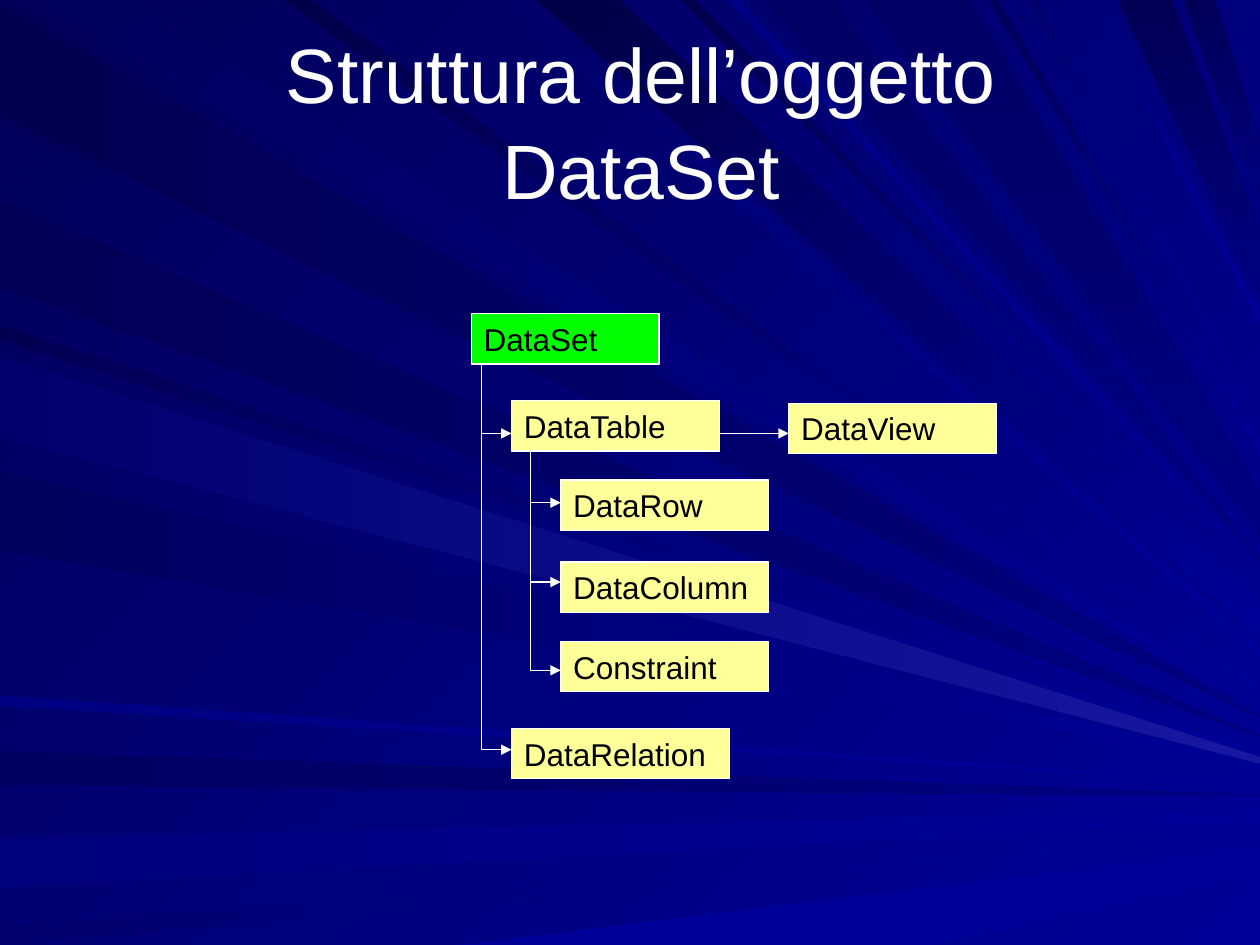
from lxml import etree
from pptx import Presentation
from pptx.dml.color import RGBColor
from pptx.enum.shapes import MSO_CONNECTOR, MSO_SHAPE
from pptx.enum.text import MSO_ANCHOR, PP_ALIGN
from pptx.oxml.ns import qn
from pptx.util import Pt

RECT, STRAIGHT = MSO_SHAPE.RECTANGLE, MSO_CONNECTOR.STRAIGHT
MIDDLE, CENTER, LEFT = MSO_ANCHOR.MIDDLE, PP_ALIGN.CENTER, PP_ALIGN.LEFT
PX = 9144  # 100 px to the inch
WIDTH, HEIGHT = 1000, 750
FONT = "Arial"
WHITE, BLACK, GREEN, YELLOW = "FFFFFF", "000000", "00FF00", "FFFF99"
BLUE, NAVY, GLOW = "000099", "000080", "1717A2"

TITLE = "Struttura dell’oggetto DataSet"
TITLE_BOX = (98, 40, 822, 108)
BACKGROUND = ("000058", BLUE, 45)

# Rays run from one edge of the slide to its right edge:
# edge, start from and to, end from and to, first colour, last colour
RAYS = [
    ("left", 2, 93, 569, 570, "000051", NAVY),
    ("top", 101, 26, 562, 563, "00005D", BLUE),
    ("left", 596, 623, 631, 632, "000061", NAVY),
    ("left", 665, 704, 643, 651, "00007D", BLUE),
    ("left", 735, 755, 661, 662, "00006F", BLUE),
    ("bottom", 364, 742, 672, 694, BLUE, BLUE),
    ("left", 258, 270, 588, 589, "000053", BLUE),
    ("left", 159, 228, 584, 585, "000055", NAVY),
    ("top", 416, 398, 515, 521, "00006B", BLUE),
    ("top", 492, 426, 479, 507, "000047", BLUE),
    ("top", 552, 540, 462, 463, "00004F", BLUE),
    ("top", 661, 606, 445, 446, "000065", NAVY),
    ("top", 930, 887, 183, 237, "000055", NAVY),
    ("top", 964, 939, 114, 167, "000059", NAVY),
    ("left", 278, 342, 596, 602, "000061", BLUE),
    ("left", 374, 437, 605, 606, "00005D", BLUE),
    ("left", 552, 560, 621, 623, "000082", BLUE),
    ("top", 247, 225, 547, 552, "00004A", BLUE),
    ("top", 588, 577, 453, 454, "000082", BLUE),
    ("top", 770, 686, 390, 428, "000065", NAVY),
    ("top", 792, 785, 354, 360, "000058", BLUE),
    ("top", 824, 815, 335, 336, "00006F", BLUE),
    ("top", 872, 865, 249, 258, "000079", BLUE),
    ("left", 283, 347, 601, 606, "00006F", GLOW),
]

BOX_H = 40
BOXES = [  # name, left, top, width, fill
    ("DataSet", 374, 249, 149, GREEN),
    ("DataTable", 406, 318, 165, YELLOW),
    ("DataView", 626, 320, 165, YELLOW),
    ("DataRow", 445, 381, 165, YELLOW),
    ("DataColumn", 445, 446, 165, YELLOW),
    ("Constraint", 445, 509, 165, YELLOW),
    ("DataRelation", 406, 578, 173, YELLOW),
]
BRANCH = 24
TRUNKS = [(382, 288, [344, 595]), (421, 359, [399, 462, 532])]  # x, top, branch heights
VIEW_ARROW = (571, 344, 626, 344)


def rgb(value):
    return RGBColor.from_string(value)


def px(*values):
    return [v * PX for v in values]


def paint(fill, first, last, angle=0):
    """Fill with a gradient turned clockwise, or solid when both colours agree."""
    if first == last:
        fill.solid()
        fill.fore_color.rgb = rgb(first)
        return
    fill.gradient()
    fill.gradient_angle = (360 - angle) % 360
    for stop, color in zip(fill.gradient_stops, (first, last)):
        stop.color.rgb = rgb(color)


def add_ray(s, edge, start_a, start_b, end_a, end_b, first, last):
    if edge == "left":
        angle = 0
        starts = [(0, min(v, HEIGHT)) for v in (start_a, start_b)]
    else:
        angle = 90 if last == NAVY else 45
        y = 0 if edge == "top" else HEIGHT
        starts = [(v, y) for v in (start_a, start_b)]
    builder = s.shapes.build_freeform(*starts[0], scale=PX)
    builder.add_line_segments([(WIDTH, end_a), (WIDTH, end_b), starts[1]], close=True)
    sp = builder.convert_to_shape()
    sp.shadow.inherit = False
    sp.line.fill.background()
    paint(sp.fill, first, last, angle)


def write(sp, text, size, color, align):
    tf = sp.text_frame
    tf.word_wrap = True
    tf.vertical_anchor = MIDDLE
    p = tf.paragraphs[0]
    p.text = text
    p.alignment = align
    p.font.name, p.font.size = FONT, Pt(size)
    p.font.color.rgb = rgb(color)
    return p


def add_title(s):
    sp = s.shapes.add_textbox(*px(*TITLE_BOX))
    p = write(sp, TITLE, 44, WHITE, CENTER)
    p.line_spacing = 1.04
    sp.text_frame.margin_left = sp.text_frame.margin_right = 14 * PX


def add_box(s, name, left, top, width, fill):
    sp = s.shapes.add_shape(RECT, *px(left, top, width, BOX_H))
    sp.shadow.inherit = False
    paint(sp.fill, fill, fill)
    sp.line.color.rgb = rgb(WHITE)
    sp.line.width = Pt(0.75)
    write(sp, name, 18, BLACK, LEFT)


def add_line(s, ends, arrow=False):
    c = s.shapes.add_connector(STRAIGHT, *px(*ends))
    c.line.color.rgb = rgb(WHITE)
    c.line.width = Pt(0.75)
    spPr = c.element.spPr
    if arrow:
        etree.SubElement(spPr.find(qn("a:ln")), qn("a:tailEnd"), type="triangle")
    etree.SubElement(spPr, qn("a:effectLst"))


def main():
    prs = Presentation()
    prs.slide_width, prs.slide_height = px(WIDTH, HEIGHT)
    s = prs.slides.add_slide(prs.slide_layouts[6])
    paint(s.background.fill, *BACKGROUND)
    for ray in RAYS:
        add_ray(s, *ray)
    add_title(s)
    for box in BOXES:
        add_box(s, *box)
    for x, top, heights in TRUNKS:
        add_line(s, (x, top, x, heights[-1]))
        for y in heights:
            add_line(s, (x, y, x + BRANCH, y), arrow=True)
    add_line(s, VIEW_ARROW, arrow=True)
    prs.save("out.pptx")


if __name__ == "__main__":
    main()
